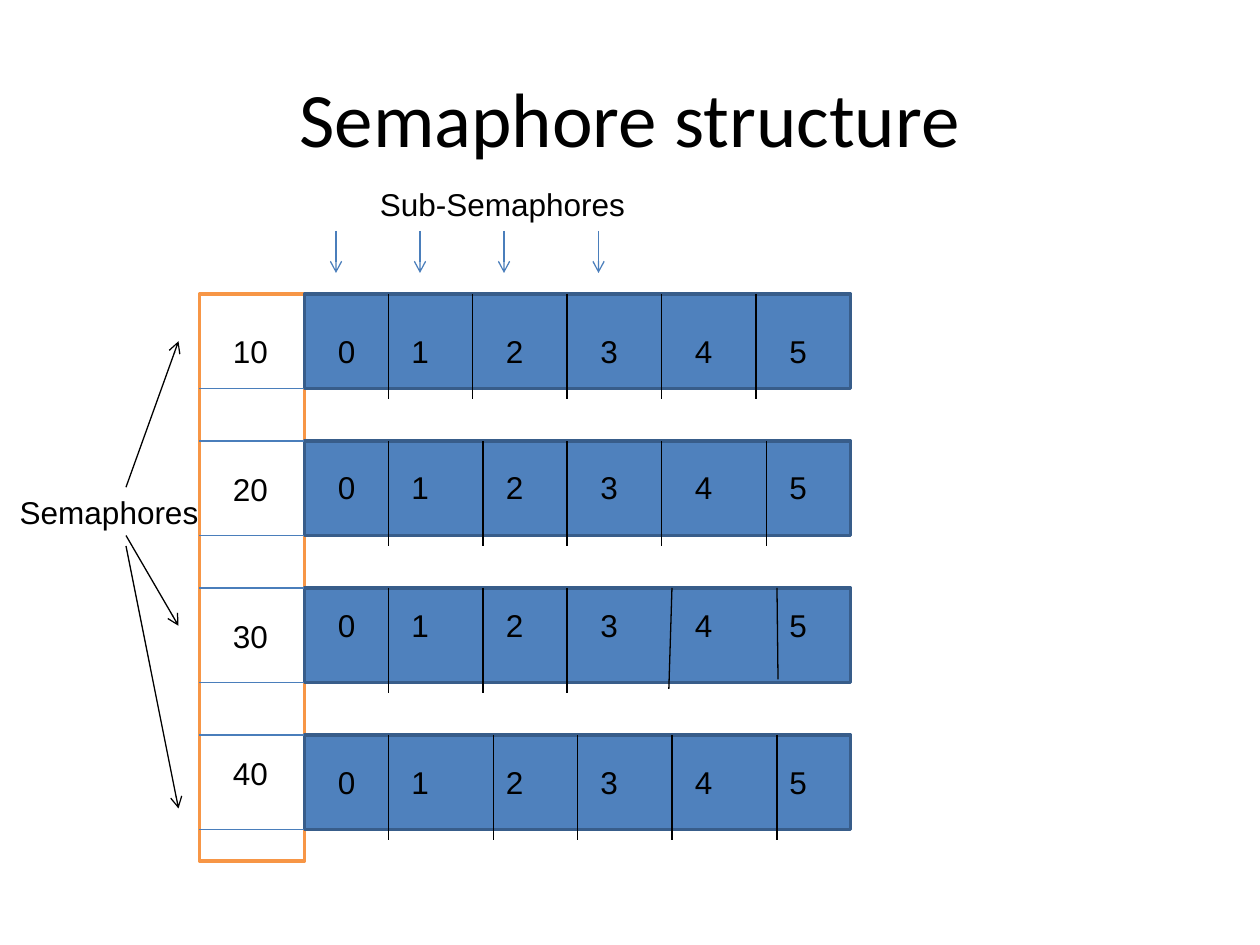
from lxml import etree
from pptx import Presentation, util as u
from pptx.dml.color import RGBColor
from pptx.enum import shapes, text
from pptx.oxml.ns import qn

COLORS = {"black": "000000", "white": "FFFFFF", "orange": "F79646",
          "bar": "4F81BD", "bar_edge": "385D8A", "blue_line": "4A7EBB"}

presentation = Presentation()
presentation.slide_width = u.Inches(10)
presentation.slide_height = u.Inches(7.5)
slide = presentation.slides.add_slide(presentation.slide_layouts[6])
CELL = presentation.slide_width / 120


def add_line(start, end, color, arrow=False):
    points = [round(CELL * value) for value in (*start, *end)]
    connector = slide.shapes.add_connector(shapes.MSO_CONNECTOR.STRAIGHT, *points)
    connector.line.color.rgb = RGBColor.from_string(COLORS[color])
    connector.line.width = u.Pt(0.75)
    if arrow:
        line = connector.line._get_or_add_ln()
        etree.SubElement(line, qn("a:tailEnd"), type="arrow")
    etree.SubElement(connector._element.spPr, qn("a:effectLst"))


def add_label(words, left, top, width, height=4.8, size=18, font="Arial"):
    box = slide.shapes.add_textbox(*[round(CELL * value) for value in (left, top, width, height)])
    frame = box.text_frame
    frame.word_wrap = True
    frame.text = words
    paragraph = frame.paragraphs[0]
    paragraph.font.size = u.Pt(size)
    paragraph.font.name = font
    paragraph.font.color.rgb = RGBColor.from_string(COLORS["black"])
    return frame


title = add_label("Semaphore structure", 6, 3.6, 108, 15, 44, "Calibri")
title.vertical_anchor = text.MSO_ANCHOR.MIDDLE
title.paragraphs[0].alignment = text.PP_ALIGN.CENTER

COLUMN_LEFT, BAR_LEFT, BAR_WIDTH, BAR_HEIGHT = 19, 29, 52, 9
bar_tops = [28 + 14 * row for row in range(4)]
boxes = [(COLUMN_LEFT, 28, 10, 54, "white", "orange")]
boxes += [(BAR_LEFT, top, BAR_WIDTH, BAR_HEIGHT, "bar", "bar_edge") for top in bar_tops]
for *bounds, fill, edge in boxes:
    shape = slide.shapes.add_shape(shapes.MSO_SHAPE.RECTANGLE, *[round(CELL * value) for value in bounds])
    shape.shadow.inherit = False
    shape.fill.solid()
    shape.fill.fore_color.rgb = RGBColor.from_string(COLORS[fill])
    shape.line.color.rgb = RGBColor.from_string(COLORS[edge])
    shape.line.width = u.Pt(2)

for top in bar_tops:
    for edge in (top, top + BAR_HEIGHT):
        if edge > bar_tops[0]:
            add_line((COLUMN_LEFT, edge), (BAR_LEFT, edge), "blue_line")

semaphores = [
    ("10", 31, 31, (37, 45, 54, 63, 72)),
    ("20", 44.2, 44, (37, 46, 54, 63, 73)),
    ("30", 58.2, 57.1, (37, 46, 54, 64, 74)),
    ("40", 71.2, 72.1, (37, 47, 55, 64, 74)),
]
slanted_ends = {("30", 64): (63.7, 65.6), ("30", 74): (74.1, 64.7)}
digit_lefts = [31] + [38 + 9 * index for index in range(5)]
for bar_top, (name, name_top, digit_top, dividers) in zip(bar_tops, semaphores):
    add_label(name, 21, name_top, 8)
    for x in dividers:
        end = slanted_ends.get((name, x), (x, bar_top + 10))
        add_line((x, bar_top), end, "black")
    for digit, left in enumerate(digit_lefts):
        add_label(str(digit), left, digit_top, 6)

add_label("Semaphores", 0.7, 46.4, 24.6)
for start, end in ((46.4, 32.5), (51, 59.6), (52, 77)):
    add_line((12, start), (17, end), "black", arrow=True)

add_label("Sub-Semaphores", 35, 17, 48)
for x in (32, 40, 48, 57):
    add_line((x, 22), (x, 26), "blue_line", arrow=True)

presentation.save("out.pptx")
